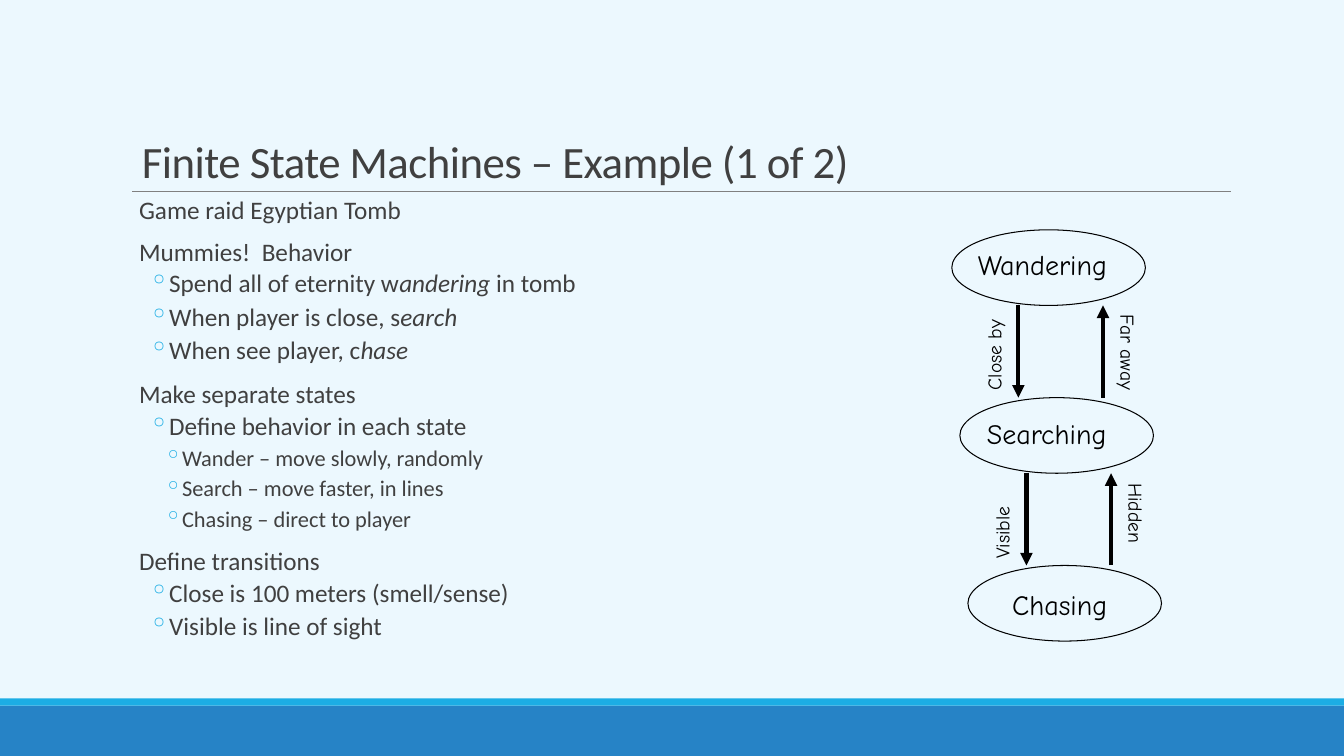
import lxml.etree
import pptx
import pptx.dml.color
import pptx.enum.shapes
import pptx.enum.text
import pptx.oxml.ns
import pptx.util

Inches = pptx.util.Inches
Pt = pptx.util.Pt
RGBColor = pptx.dml.color.RGBColor
Shape = pptx.enum.shapes.MSO_SHAPE
Anchor = pptx.enum.text.MSO_ANCHOR
qn = pptx.oxml.ns.qn

SKY = RGBColor(0xEC, 0xF8, 0xFE)
BLUE = RGBColor(0x26, 0x83, 0xC6)
CYAN = RGBColor(0x1C, 0xAD, 0xE4)
GREY = RGBColor(0x80, 0x80, 0x80)
DARK = RGBColor(0x40, 0x40, 0x40)
BLACK = RGBColor(0, 0, 0)

# Format values by outline level: paragraph, font size, left margin, hanging indent
LEVELS = [
    ({"line_spacing": 0.9, "space_before": Pt(9), "space_after": Pt(1.5)}, 18, 0.07, 0),
    ({"line_spacing": 0.9, "space_before": Pt(1.5), "space_after": Pt(3)}, 18, 0.32, 0.15),
    ({"line_spacing": 0.9, "space_before": Pt(1.5), "space_after": Pt(3)}, 16, 0.47, 0.15),
]

# Level, then alternating upright and italic pieces
OUTLINE = [
    (0, "Game raid Egyptian Tomb"),
    (0, "Mummies!  Behavior"),
    (1, "Spend all of eternity w", "andering ", "in tomb"),
    (1, "When player is close, s", "earch"),
    (1, "When see player, c", "hase"),
    (0, "Make separate states"),
    (1, "Define behavior in each state"),
    (2, "Wander – move slowly, randomly"),
    (2, "Search – move faster, in lines"),
    (2, "Chasing – direct to player"),
    (0, "Define transitions"),
    (1, "Close is 100 meters (smell/sense)"),
    (1, "Visible is line of sight"),
]

# Name and label box of each state
STATES = [
    ("Wandering", (9.6, 2.41, 1.6, 0.43)),
    ("Searching", (9.69, 4.08, 1.5, 0.43)),
    ("Chasing", (9.94, 5.78, 1.18, 0.43)),
]

# Label, label box and rotation of each transition
TRANSITIONS = [
    ("Close by", (9.38, 3.33, 0.95, 0.33), 270),
    ("Visible", (9.53, 5.07, 0.81, 0.33), 270),
    ("Far away", (10.69, 3.36, 1, 0.33), 90),
    ("Hidden", (10.85, 4.95, 0.84, 0.33), 90),
]


def apply(target, values):
    for name, value in values.items():
        setattr(target, name, value)


class SlideBuilder:
    def __init__(self, slide):
        self.slide = slide
        self.body_font = {"name": "Calibri", "size": Pt(18)}
        self.diagram_font = {"name": "Comic Neue", "size": Pt(20)}

    def background(self, color):
        self.slide.background.fill.solid()
        self.slide.background.fill.fore_color.rgb = color

    def shape(self, kind, box, fill=None, line=None):
        shape = self.slide.shapes.add_shape(kind, *map(Inches, box))
        shape.shadow.inherit = False
        if fill is None:
            shape.fill.background()
        else:
            shape.fill.solid()
            shape.fill.fore_color.rgb = fill
        if line is None:
            shape.line.fill.background()
        else:
            shape.line.color.rgb = line
            shape.line.width = Pt(0.75)

    def line(self, start, end, color, width, arrow=False):
        connector = self.slide.shapes.add_connector(
            pptx.enum.shapes.MSO_CONNECTOR.STRAIGHT, *map(Inches, start + end))
        connector.line.color.rgb = color
        connector.line.width = Pt(width)
        if arrow:
            outline = connector.line._get_or_add_ln()
            lxml.etree.SubElement(outline, qn("a:tailEnd"), type="triangle")
        lxml.etree.SubElement(connector._element.spPr, qn("a:effectLst"))

    def frame(self, box, rotation=0, **values):
        shape = self.slide.shapes.add_textbox(*map(Inches, box))
        shape.rotation = rotation
        apply(shape.text_frame, {"word_wrap": True, **values})
        return shape.text_frame

    def run(self, paragraph, text, color, font):
        run = paragraph.add_run()
        run.text = text
        apply(run.font, font)
        run.font.color.rgb = color
        return run

    def title(self, text, box):
        paragraph = self.frame(box, vertical_anchor=Anchor.BOTTOM).paragraphs[0]
        paragraph.line_spacing = 0.85
        run = self.run(paragraph, text, DARK, {**self.body_font, "size": Pt(32)})
        run.font._element.set("spc", "-40")

    def label(self, text, box, size=20, rotation=0):
        paragraph = self.frame(box, rotation).paragraphs[0]
        self.run(paragraph, text, BLACK, {**self.diagram_font, "size": Pt(size)})

    def outline(self, items, box):
        frame = self.frame(box, margin_left=0, margin_right=0)
        for index, (level, *pieces) in enumerate(items):
            paragraph = frame.add_paragraph() if index else frame.paragraphs[0]
            spacing, size, margin, hanging = LEVELS[level]
            properties = paragraph._p.get_or_add_pPr()
            properties.set("marL", str(Inches(margin)))
            properties.set("indent", str(-Inches(hanging)))
            if hanging:
                bullet_color = lxml.etree.SubElement(properties, qn("a:buClr"))
                lxml.etree.SubElement(bullet_color, qn("a:srgbClr"), val=str(CYAN))
                lxml.etree.SubElement(properties, qn("a:buChar"), char="◦")
            apply(paragraph, {"level": level, **spacing})
            if index == 0:
                paragraph.space_before = Pt(0)
            for position, piece in enumerate(pieces):
                self.run(paragraph, piece, DARK, {
                    **self.body_font, "size": Pt(size), "italic": position % 2 == 1})


def main():
    presentation = pptx.Presentation()
    presentation.slide_width = Inches(13.33)
    presentation.slide_height = Inches(7.5)
    slide = presentation.slides.add_slide(presentation.slide_layouts[6])
    builder = SlideBuilder(slide)

    # Background, footer bands and title rule
    builder.background(SKY)
    builder.shape(Shape.RECTANGLE, (0, 7, 13.33, 0.5), fill=BLUE)
    builder.shape(Shape.RECTANGLE, (0, 6.93, 13.33, 0.07), fill=CYAN)
    builder.line((1.31, 1.9), (12.21, 1.9), GREY, 0.5)

    # Title and outline
    builder.title("Finite State Machines – Example (1 of 2)", (1.31, 0.66, 8.83, 1.25))
    builder.outline(OUTLINE, (1.31, 1.91, 6.27, 5.17))

    # States, each a step down and slightly right of the one before
    left, top, width, height = 9.44, 2.28, 1.92, 0.75
    step_x, step_y = 0.08, 1.665
    for index, (name, box) in enumerate(STATES):
        x, y = left + index * step_x, top + index * step_y
        builder.shape(Shape.OVAL, (x, y, width, height), line=BLACK)
        builder.label(name, box)

        # Arrows down to the next state and back up
        if index < len(STATES) - 1:
            upper, lower = y + height, y + step_y
            down_x, up_x = x + 0.66, x + 1.5
            builder.line((down_x, upper), (down_x, lower), BLACK, 3, arrow=True)
            builder.line((up_x, lower), (up_x, upper), BLACK, 3, arrow=True)

    # Transition labels
    for text, box, rotation in TRANSITIONS:
        builder.label(text, box, 14, rotation)

    presentation.save("out.pptx")


if __name__ == "__main__":
    main()
